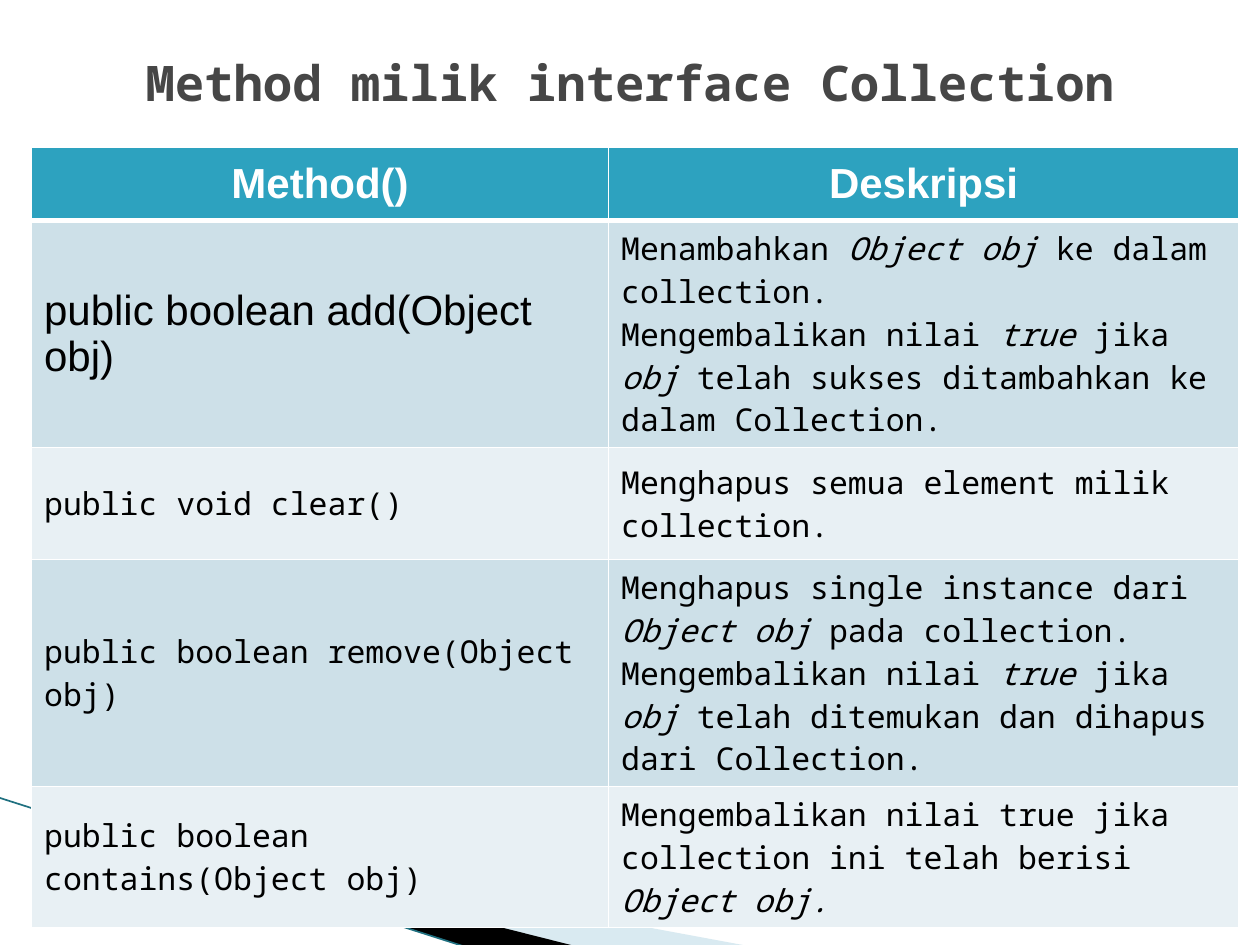
from dataclasses import dataclass

from lxml import etree
from pptx import Presentation
from pptx.dml.color import RGBColor
from pptx.enum.shapes import MSO_CONNECTOR
from pptx.enum.text import MSO_ANCHOR, PP_ALIGN
from pptx.oxml.ns import qn
from pptx.util import Inches, Pt

MIDDLE = MSO_ANCHOR.MIDDLE
CENTER = PP_ALIGN.CENTER
LEFT = PP_ALIGN.LEFT
STRAIGHT = MSO_CONNECTOR.STRAIGHT
SANS, MONO = "Arial", "Noto Sans Mono"
COLORS = {
    "title": "464646", "header": "2DA2BF", "odd": "CDE0E8", "even": "E8F0F4",
    "white": "FFFFFF", "black": "000000", "wedge": "A0CBDC", "line": "1F7080",
}


@dataclass
class Style:
    font: str
    size: float
    color: str
    bold: bool = False
    align: PP_ALIGN = LEFT


@dataclass
class Wedge:
    points: list[tuple[float, float]]
    color: str
    opacity: int = 100


@dataclass
class Method:
    signature: str
    description: list[str]  # asterisks enclose italic words
    signature_style: Style


TITLE = Style(MONO, 28, "title", True, CENTER)
HEADER = Style(SANS, 24, "white", True, CENTER)
LARGE = Style(SANS, 24, "black")
BODY = Style(MONO, 18, "black")

WEDGES = [
    Wedge([(0.55, 6.51), (5.95, 7.51), (4.56, 7.51), (0.55, 6.5)], "wedge", 40),
    Wedge([(0.53, 6.49), (4.57, 7.51), (3.72, 7.52), (0.54, 6.5)], "black"),
]
COLUMN_WIDTHS = [4.58, 5]
HEADER_HEIGHT, ROW_HEIGHT = 0.58, 0.89
HEADINGS = ["Method()", "Deskripsi"]
METHODS = [
    Method("public boolean add(Object obj)", [
        "Menambahkan *Object obj *ke dalam collection.",
        "Mengembalikan nilai *true *jika *obj *telah sukses ditambahkan ke dalam Collection.",
    ], LARGE),
    Method("public void clear()", ["Menghapus semua element milik collection."], BODY),
    Method("public boolean remove(Object obj)", [
        "Menghapus single instance dari *Object obj *pada collection.",
        "Mengembalikan nilai *true *jika *obj *telah ditemukan dan dihapus dari Collection.",
    ], BODY),
    Method("public boolean contains(Object obj)", [
        "Mengembalikan nilai true jika collection ini telah berisi *Object obj.*",
    ], BODY),
]


def rgb(name: str) -> RGBColor:
    return RGBColor.from_string(COLORS[name])


def write(frame, lines: list[str], style: Style) -> None:
    for index, line in enumerate(lines):
        para = frame.add_paragraph() if index else frame.paragraphs[0]
        para.alignment = style.align
        para.font.name = style.font
        para.font.size = Pt(style.size)
        para.font.bold = style.bold
        para.font.color.rgb = rgb(style.color)
        for part, words in enumerate(line.split("*")):
            if words:
                span = para.add_run()
                span.text = words
                if part % 2:
                    span.font.italic = True


def add_wedge(page, wedge: Wedge) -> None:
    points = [(Inches(x), Inches(y)) for x, y in wedge.points]
    builder = page.shapes.build_freeform(*points[0])
    builder.add_line_segments(points[1:], close=True)
    shape = builder.convert_to_shape()
    shape.shadow.inherit = False
    shape.line.fill.background()
    shape.fill.solid()
    shape.fill.fore_color.rgb = rgb(wedge.color)
    if wedge.opacity < 100:
        color = shape.fill._xPr.find(qn("a:solidFill"))[0]
        etree.SubElement(color, qn("a:alpha"), val=str(wedge.opacity * 1000))


def add_edge_line(page) -> None:
    line = page.shapes.add_connector(
        STRAIGHT, Inches(-0.01), Inches(6.33), Inches(3.71), Inches(7.52))
    line.line.color.rgb = rgb("line")
    line.line.width = Pt(0.95)
    etree.SubElement(line._element.spPr, qn("a:effectLst"))


def add_borders(cell, bottom: float) -> None:
    properties = cell._tc.get_or_add_tcPr()
    for side, width in {"L": 1, "R": 1, "T": 1, "B": bottom}.items():
        border = etree.SubElement(properties, qn(f"a:ln{side}"), w=str(Pt(width)))
        fill = etree.SubElement(border, qn("a:solidFill"))
        etree.SubElement(fill, qn("a:srgbClr"), val=COLORS["white"])


def fill_cell(cell, lines: list[str], style: Style, color: str, bottom: float = 1) -> None:
    add_borders(cell, bottom)
    cell.fill.solid()
    cell.fill.fore_color.rgb = rgb(color)
    cell.vertical_anchor = MIDDLE
    write(cell.text_frame, lines, style)


def add_method_table(page) -> None:
    height = HEADER_HEIGHT + ROW_HEIGHT * len(METHODS)
    table = page.shapes.add_table(
        len(METHODS) + 1, len(COLUMN_WIDTHS), Inches(0.25), Inches(1.17),
        Inches(sum(COLUMN_WIDTHS)), Inches(height)).table
    for column, width in zip(table.columns, COLUMN_WIDTHS):
        column.width = Inches(width)
    for index, row in enumerate(table.rows):
        row.height = Inches(ROW_HEIGHT if index else HEADER_HEIGHT)

    for column, heading in enumerate(HEADINGS):
        fill_cell(table.cell(0, column), [heading], HEADER, "header", bottom=3)
    for row, method in enumerate(METHODS, start=1):
        color = "odd" if row % 2 else "even"
        fill_cell(table.cell(row, 0), [method.signature], method.signature_style, color)
        fill_cell(table.cell(row, 1), method.description, BODY, color)


def add_title(page) -> None:
    box = page.shapes.add_textbox(Inches(0.5), Inches(0.3), Inches(9), Inches(0.7))
    box.text_frame.word_wrap = True
    box.text_frame.vertical_anchor = MIDDLE
    write(box.text_frame, ["Method milik interface Collection"], TITLE)


def main() -> None:
    deck = Presentation()
    deck.slide_width, deck.slide_height = Inches(10), Inches(7.5)
    page = deck.slides.add_slide(deck.slide_layouts[6])

    # Corner decoration
    for wedge in WEDGES:
        add_wedge(page, wedge)
    add_edge_line(page)

    # Content
    add_method_table(page)
    add_title(page)
    deck.save("out.pptx")


if __name__ == "__main__":
    main()
